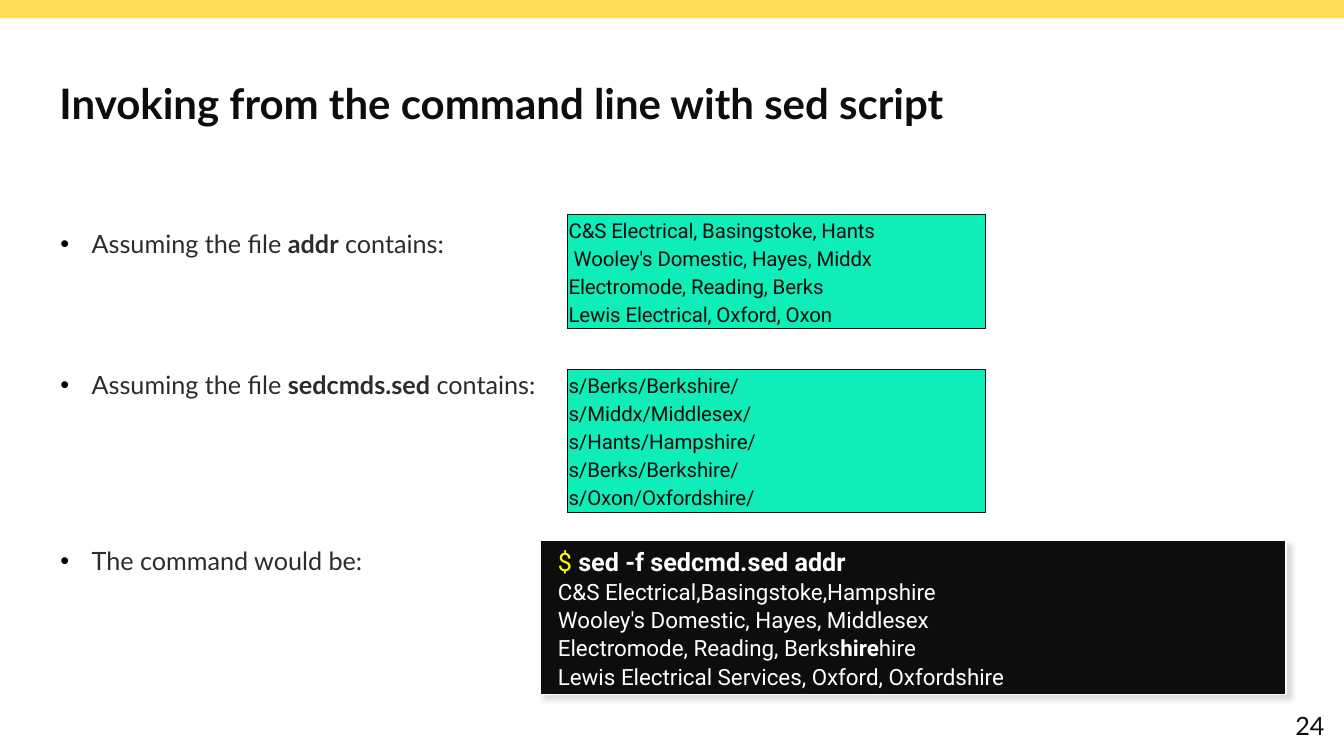
import pptx
import pptx.util
import pptx.dml.color
import pptx.enum.shapes
import pptx.enum.text
import pptx.oxml
import pptx.oxml.ns

Cm, Pt = pptx.util.Cm, pptx.util.Pt
ALIGN = pptx.enum.text.PP_ALIGN
ANCHOR = pptx.enum.text.MSO_ANCHOR

# Each line is a list of (text, style) runs.
TITLE = [[("Invoking from the command line with sed script", "title")]]
POINTS = [
    [("Assuming the file ", "body"), ("addr", "strong"), (" contains:", "body")],
    [("Assuming the file ", "body"), ("sedcmds.sed", "strong"), (" contains:", "body")],
    [("The command would be:", "body")],
]
FILES = [
    ["C&S Electrical, Basingstoke, Hants", "Wooley's Domestic, Hayes, Middx",
     "Electromode, Reading, Berks", "Lewis Electrical, Oxford, Oxon"],
    ["s/Berks/Berkshire/", "s/Middx/Middlesex/", "s/Hants/Hampshire/",
     "s/Berks/Berkshire/", "s/Oxon/Oxfordshire/"],
]
SHELL = [
    [("$ ", "prompt"), ("sed -f sedcmd.sed addr", "command")],
    [("C&S Electrical,Basingstoke,Hampshire", "output")],
    [("Wooley's Domestic, Hayes, Middlesex", "output")],
    [("Electromode, Reading, Berks", "output"), ("hire", "extra"), ("hire", "output")],
    [("Lewis Electrical Services, Oxford, Oxfordshire", "output")],
]
PAGE = [[("24", "page")]]

THEME = {
    "bar": "FFDC57", "file": "0FEEB9", "ink": "0D0D0D", "white": "FFFFFF",
    "bullet": "000000", "shadow": "DADADA",
    "styles": {
        "title": ("0D0D0D", {"name": "Lato", "size": Pt(30), "bold": True}),
        "body": ("2D2C2C", {"name": "Lato", "size": Pt(18)}),
        "strong": ("2D2C2C", {"name": "Lato", "size": Pt(18), "bold": True}),
        "file": ("0D0D0D", {"name": "Roboto", "size": Pt(14.6)}),
        "prompt": ("FFFF00", {"name": "Roboto", "size": Pt(18)}),
        "command": ("FFFFFF", {"name": "Roboto", "size": Pt(18), "bold": True}),
        "output": ("FFFFFF", {"name": "Roboto", "size": Pt(16)}),
        "extra": ("FFFFFF", {"name": "Roboto", "size": Pt(16), "bold": True}),
        "page": ("0D0D0D", {"name": "Lato", "size": Pt(18)}),
    },
}
STEP = 25.14   # points from one body line to the next
LEAD = 19.44   # height of a body line in points
GAPS = [0] + [lines * STEP - LEAD for lines in (4, 5)]
FILE_TOPS = [(5.41, 2.87), (9.3, 3.61)]


def color(code):
    return pptx.dml.color.RGBColor.from_string(code)


def apply(target, values):
    for key, value in values.items():
        setattr(target, key, value)


def add_xml(parent, body):
    """Append one drawing element, given without its namespace."""
    space = pptx.oxml.ns.nsdecls("a")
    head, rest = body.split(" ", 1)
    parent.append(pptx.oxml.parse_xml(f"{head} {space} {rest}"))


def add_box(slide, place, fill, line=None, width=0):
    kind = pptx.enum.shapes.MSO_SHAPE.RECTANGLE
    box = slide.shapes.add_shape(kind, *map(Cm, place))
    box.shadow.inherit = False
    box.fill.solid()
    box.fill.fore_color.rgb = color(fill)
    if line:
        box.line.color.rgb = color(line)
        box.line.width = Pt(width)
    else:
        box.line.fill.background()
    return box


def add_text(slide, place):
    return slide.shapes.add_textbox(*map(Cm, place))


def write(box, lines, frame=None, para=None, gaps=None, track=0):
    """Fill a shape with lines of styled runs and return the paragraphs."""
    text = box.text_frame
    apply(text, {"word_wrap": True, "vertical_anchor": ANCHOR.TOP, **(frame or {})})
    for index, line in enumerate(lines):
        item = text.add_paragraph() if index else text.paragraphs[0]
        apply(item, {"alignment": ALIGN.LEFT, **(para or {})})
        if index and gaps:
            item.space_before = Pt(gaps[index])
        for words, style in line:
            run = item.add_run()
            run.text = words
            shade, values = THEME["styles"][style]
            apply(run.font, values)
            run.font.color.rgb = color(shade)
            if track:
                run.font._element.set("spc", str(track))
    return text.paragraphs


def indent(item, left, first=0):
    props = item._p.get_or_add_pPr()
    props.set("marL", str(Cm(left)))
    props.set("indent", str(Cm(first)))
    return props


def main():
    deck = pptx.Presentation()
    apply(deck, {"slide_width": Cm(33.87), "slide_height": Cm(19.05)})
    slide = deck.slides.add_slide(deck.slide_layouts[6])

    add_box(slide, (0, 0, 33.87, 0.46), THEME["bar"])
    write(add_text(slide, (1.25, 1.4, 31.4, 2.39)), TITLE,
          {"vertical_anchor": ANCHOR.MIDDLE})

    body = add_text(slide, (1.25, 5.71, 31.4, 11.2))
    for item in write(body, POINTS, para={"line_spacing": 0.9}, gaps=GAPS):
        props = indent(item, 0.81, -0.79)
        add_xml(props, f'<a:buClr ><a:srgbClr val="{THEME["bullet"]}"/></a:buClr>')
        add_xml(props, '<a:buFont typeface="Arial"/>')
        add_xml(props, '<a:buChar char="•"/>')

    tight = {"margin_left": 0, "margin_top": Cm(0.03),
             "margin_right": 0, "margin_bottom": 0}
    for lines, (top, height) in zip(FILES, FILE_TOPS):
        box = add_box(slide, (14.3, top, 10.54, height), THEME["file"], THEME["ink"], 0.75)
        rows = [[(line, "file")] for line in lines]
        for item in write(box, rows, tight, {"line_spacing": 1.1},
                          [0.8] * len(rows), -10):
            shift = 0.13 if item.text.startswith("Wooley") else 0
            indent(item, 0.03 + shift)

    shell = add_box(slide, (13.61, 13.61, 18.8, 3.89), THEME["ink"], THEME["white"], 1)
    effect = shell._element.spPr.find(pptx.oxml.ns.qn("a:effectLst"))
    add_xml(effect, f'<a:outerShdw blurRad="{Pt(4)}" dist="{Pt(4)}" dir="2700000" '
                    f'algn="tl" rotWithShape="0"><a:srgbClr val="{THEME["shadow"]}"/>'
                    '</a:outerShdw>')
    pad = {"margin_top": Cm(0.25), "margin_bottom": Cm(0.15)}
    for item in write(shell, SHELL, pad, {"line_spacing": Pt(19)}, [1.2] * len(SHELL)):
        indent(item, 0.2)

    write(add_text(slide, (26.01, 17.78, 7.62, 1.02)), PAGE,
          para={"alignment": ALIGN.RIGHT})
    deck.save("out.pptx")


if __name__ == "__main__":
    main()
